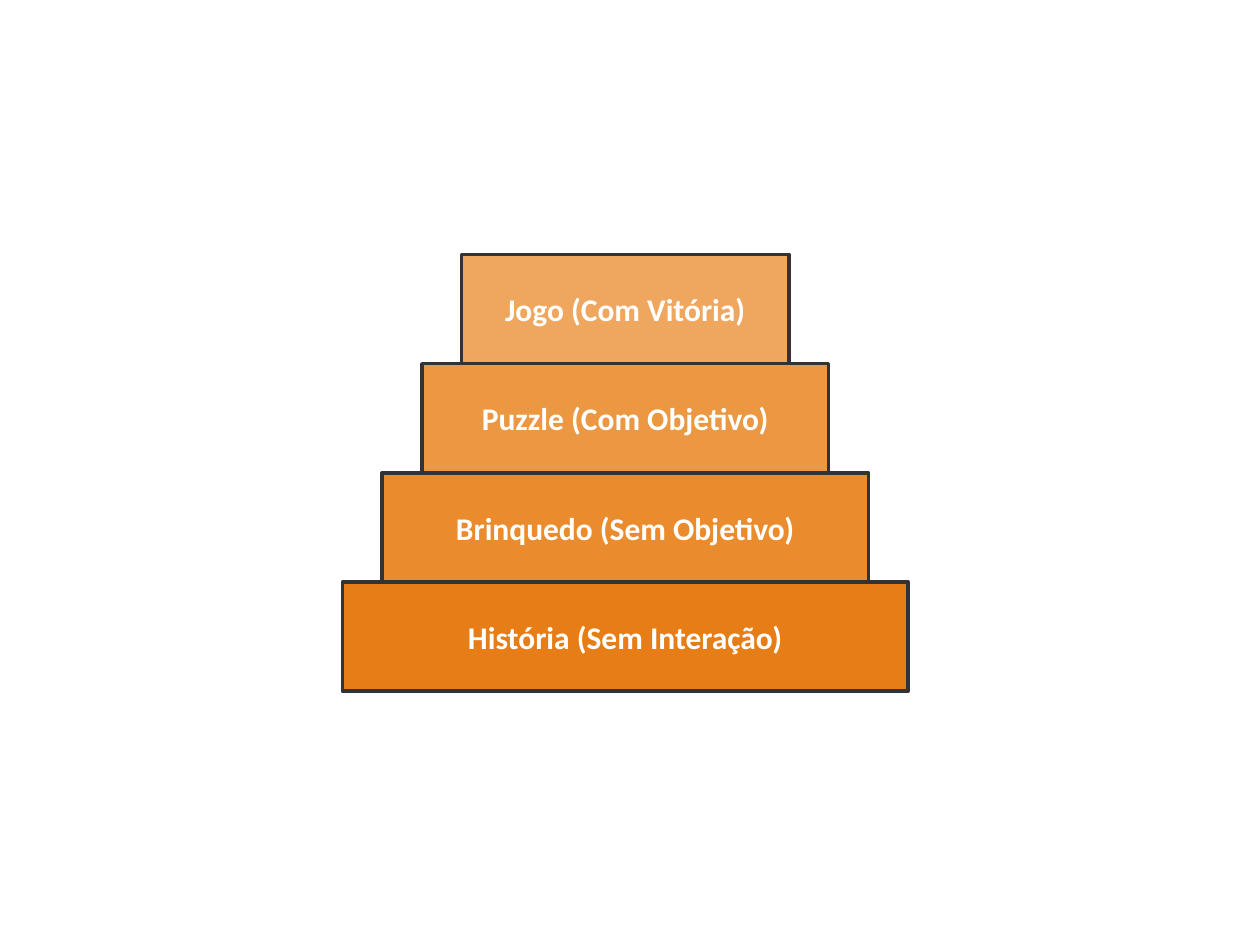
from dataclasses import dataclass

from pptx import Presentation
from pptx.dml.color import RGBColor
from pptx.enum.shapes import MSO_SHAPE
from pptx.enum.text import MSO_ANCHOR, PP_ALIGN
from pptx.shapes.autoshape import Shape
from pptx.slide import Slide
from pptx.util import Pt


@dataclass(frozen=True)
class Theme:
    """Colours, font and sizes shared by the whole slide."""
    font: str = "Calibri"
    label_size: float = 18
    label_color: str = "FFFFFF"
    outline_color: str = "333333"
    outline_width: float = 2


@dataclass(frozen=True)
class Step:
    """One level of the pyramid."""
    label: str
    fill: str


THEME = Theme()
STEPS = [
    Step("História (Sem Interação)", "E67D17"),
    Step("Brinquedo (Sem Objetivo)", "EA8C2E"),
    Step("Puzzle (Com Objetivo)", "EC9742"),
    Step("Jogo (Com Vitória)", "EFA75F"),
]
CENTER_X = 357.3
BASE_BOTTOM = 395
BASE_WIDTH = 323.3
WIDTH_DECREASE = 45.36
STEP_HEIGHT = 62.4


def write_text(shape: Shape, text: str, *, size: float, color: str,
               bold: bool = False, align: PP_ALIGN = PP_ALIGN.CENTER) -> None:
    """Put formatted text in the vertical middle of a shape."""
    frame = shape.text_frame
    frame.word_wrap = True
    frame.vertical_anchor = MSO_ANCHOR.MIDDLE
    paragraph = frame.paragraphs[0]
    paragraph.alignment = align
    run = paragraph.add_run()
    run.text = text
    run.font.name = THEME.font
    run.font.size = Pt(size)
    run.font.bold = bold
    run.font.color.rgb = RGBColor.from_string(color)


def add_step(slide: Slide, level: int, step: Step) -> None:
    """Draw one centred step, counting levels up from the base."""
    width = BASE_WIDTH - level * WIDTH_DECREASE
    top = BASE_BOTTOM - (level + 1) * STEP_HEIGHT
    shape = slide.shapes.add_shape(
        MSO_SHAPE.RECTANGLE, Pt(CENTER_X - width / 2), Pt(top),
        Pt(width), Pt(STEP_HEIGHT))
    shape.shadow.inherit = False
    shape.fill.solid()
    shape.fill.fore_color.rgb = RGBColor.from_string(step.fill)
    shape.line.color.rgb = RGBColor.from_string(THEME.outline_color)
    shape.line.width = Pt(THEME.outline_width)
    write_text(shape, step.label, size=THEME.label_size,
               color=THEME.label_color, bold=True)


def main() -> None:
    """Build the step pyramid and save it."""
    presentation = Presentation()
    presentation.slide_width, presentation.slide_height = Pt(720), Pt(540)
    blank_layout = presentation.slide_layouts[6]
    slide = presentation.slides.add_slide(blank_layout)
    for level, step in enumerate(STEPS):
        add_step(slide, level, step)
    presentation.save("out.pptx")


main()
